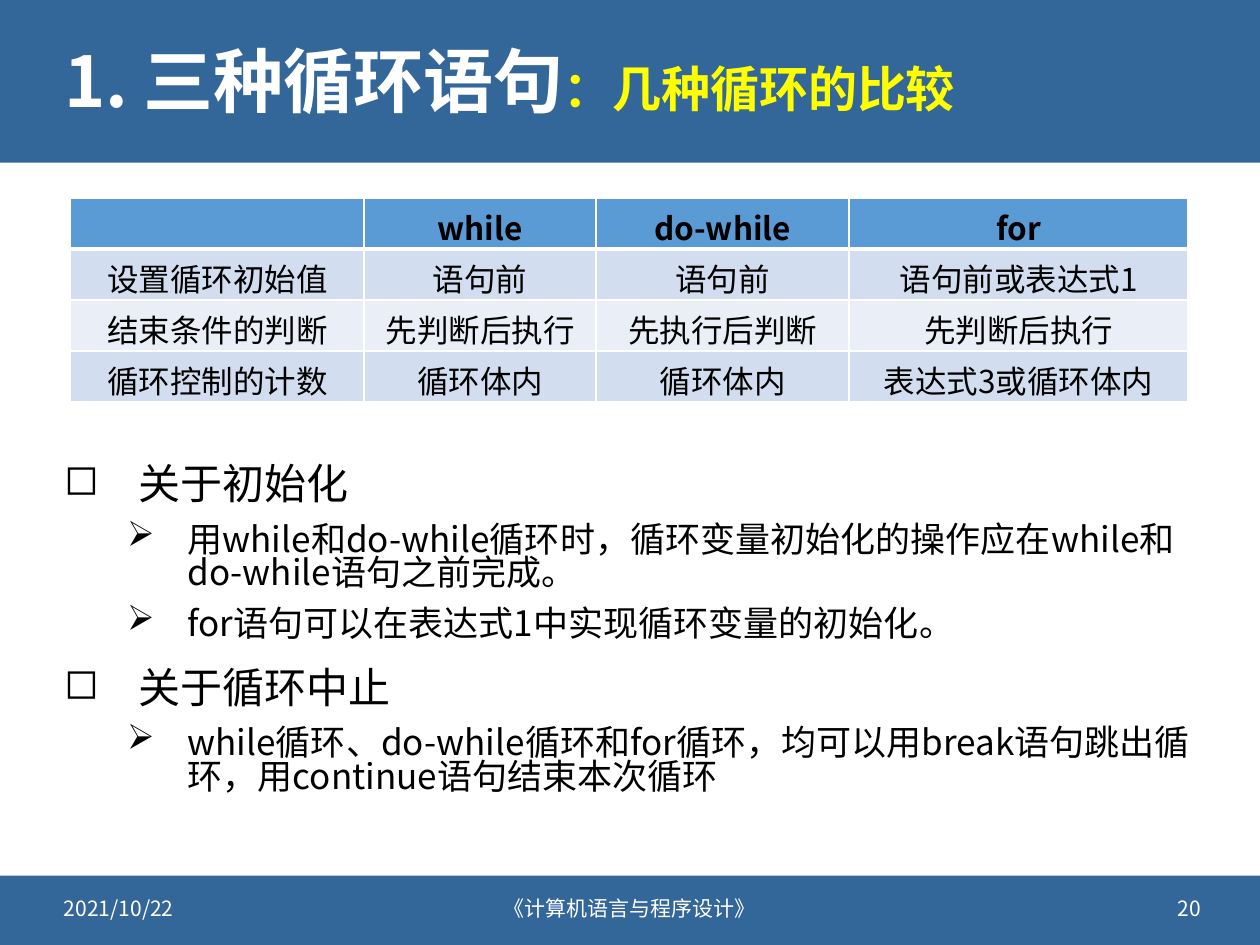
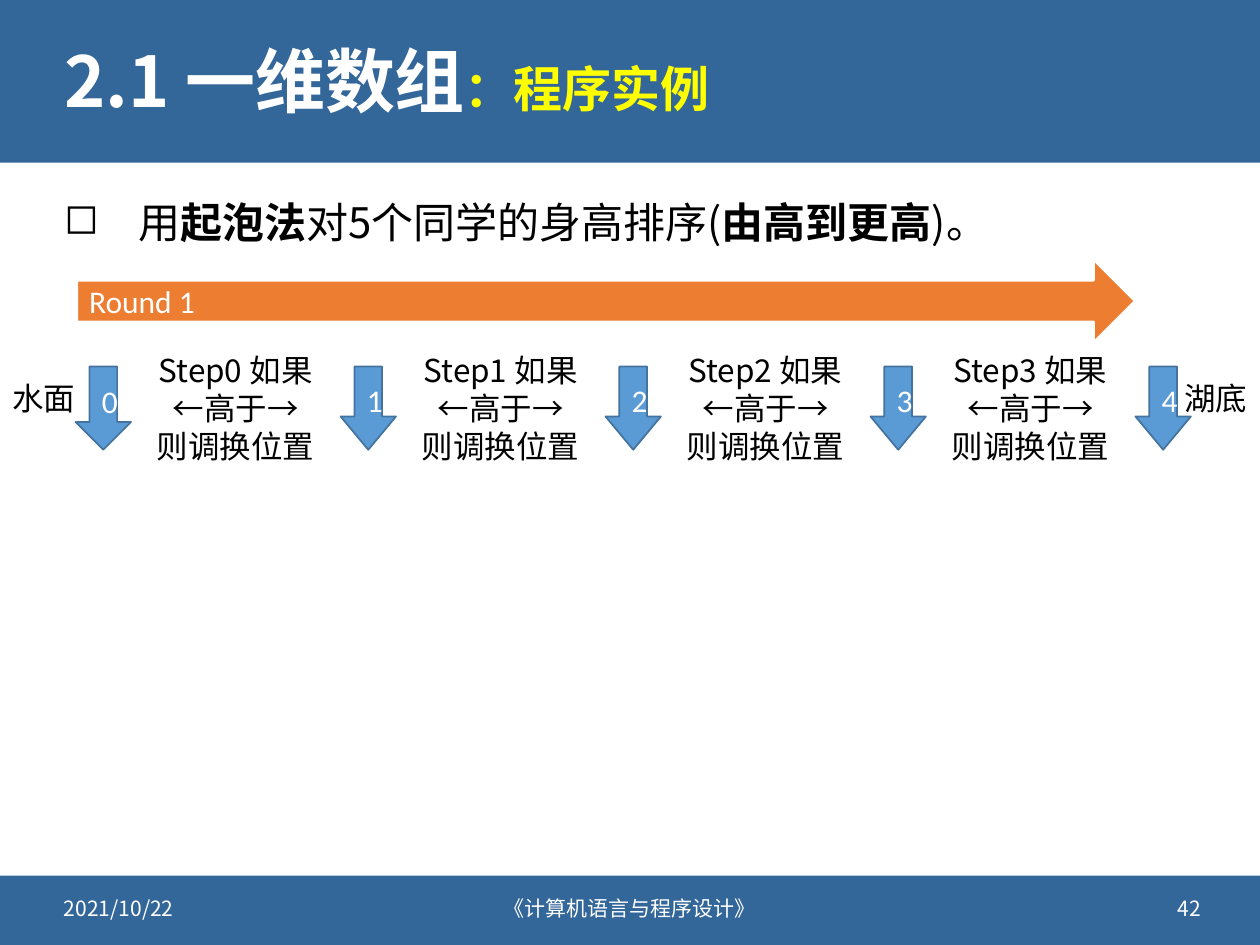
from dataclasses import dataclass

from lxml import etree
from pptx import Presentation
from pptx import util as u
from pptx.dml.color import RGBColor
from pptx.enum import shapes, text
from pptx.oxml.ns import qn

COLUMNS, ROWS = 100, 75
CENTER, RIGHT = text.PP_ALIGN.CENTER, text.PP_ALIGN.RIGHT


@dataclass(frozen=True)
class Theme:
    font: str = "Noto Sans CJK SC"
    shape_font: str = "Calibri"
    band: str = "336699"
    white: str = "FFFFFF"
    black: str = "000000"
    accent: str = "FFFF00"
    blue: str = "5B9BD5"
    blue_edge: str = "43739E"
    orange: str = "ED7D31"
    stripes: tuple = ("EAEFF7", "D2DEEF")
    title: int = 40
    subtitle: int = 28
    heading: int = 24
    detail: int = 20
    label: int = 18
    footer: int = 12


THEME = Theme()


@dataclass(frozen=True)
class Box:
    """An area measured in columns and rows of the page grid."""
    left: float
    top: float
    width: float
    height: float

    def inside(self, left, top, width, height):
        return Box(self.left + left, self.top + top, width, height)

    def emu(self):
        return [u.Inches(value / 10) for value in
                (self.left, self.top, self.width, self.height)]


PAGE = Box(0, 0, COLUMNS, ROWS)
HEADER = PAGE.inside(0, 0, COLUMNS, 12.9)
FOOTER = PAGE.inside(0, 69.5, COLUMNS, 5.5)
BODY = PAGE.inside(4.1, 14.7, 91.9, 52.8)


def assign(target, values):
    for name, value in values.items():
        setattr(target, name, value)


def add_span(para, words, size, color=THEME.black, bold=False, font=THEME.font):
    span = para.add_run()
    span.text = words
    assign(span.font, {"size": u.Pt(size), "bold": bold, "name": font})
    span.font.color.rgb = RGBColor.from_string(color)
    east_asian = etree.SubElement(span.font._element, qn("a:ea"))
    east_asian.set("typeface", font)


def add_paras(frame, count):
    """Return the first paragraph of the frame and the further ones needed."""
    return [frame.paragraphs[0]] + [frame.add_paragraph() for _ in range(count - 1)]


def add_text_box(page, box, **frame_format):
    frame = page.shapes.add_textbox(*box.emu()).text_frame
    assign(frame, {"word_wrap": True, **frame_format})
    return frame


def add_preset(page, kind, box, fill, edge=None, edge_width=1):
    shape = page.shapes.add_shape(kind, *box.emu())
    shape.shadow.inherit = False
    shape.fill.solid()
    shape.fill.fore_color.rgb = RGBColor.from_string(fill)
    if edge:
        shape.line.color.rgb = RGBColor.from_string(edge)
        shape.line.width = u.Pt(edge_width)
    else:
        shape.line.fill.background()
    return shape


def set_bullet(para, mark, indent, hanging):
    properties = para._p.get_or_add_pPr()
    properties.set("marL", str(u.Inches(indent)))
    properties.set("indent", str(-u.Inches(hanging)))
    color = etree.SubElement(properties, qn("a:buClr"))
    etree.SubElement(color, qn("a:srgbClr")).set("val", THEME.black)
    etree.SubElement(properties, qn("a:buChar")).set("char", mark)


def add_heading(para, parts, spacing=1.0):
    assign(para, {"space_before": u.Pt(10), "line_spacing": spacing})
    set_bullet(para, "◻", 0.59, 0.59)
    for words, bold in parts:
        add_span(para, words, THEME.heading, bold=bold)


def add_detail(para, words):
    assign(para, {"space_before": u.Pt(10), "line_spacing": 0.8})
    set_bullet(para, "➢", 0.98, 0.48)
    add_span(para, words, THEME.detail)


def add_header(page, box, title, subtitle):
    add_preset(page, shapes.MSO_SHAPE.RECTANGLE, box, THEME.band)
    frame = add_text_box(page, box.inside(4.1, 1.8, 91.9, 9.9),
                         vertical_anchor=text.MSO_ANCHOR.MIDDLE)
    para = frame.paragraphs[0]
    para.line_spacing = 0.9
    add_span(para, title, THEME.title, THEME.white, True)
    add_span(para, "：" + subtitle, THEME.subtitle, THEME.accent, True)


def add_footer(page, box, number):
    add_preset(page, shapes.MSO_SHAPE.RECTANGLE, box, THEME.band)
    fields = ((4.1, 24, None, "2021/10/22"),
              (32, 36, CENTER, "《计算机语言与程序设计》"),
              (72.3, 24, RIGHT, str(number)))
    for left, width, alignment, words in fields:
        frame = add_text_box(page, box.inside(left, 0.6, width, 4),
                             vertical_anchor=text.MSO_ANCHOR.MIDDLE)
        frame.paragraphs[0].alignment = alignment
        add_span(frame.paragraphs[0], words, THEME.footer, THEME.white)


def add_page(deck, title, subtitle, number):
    page = deck.slides.add_slide(deck.slide_layouts[6])
    add_header(page, HEADER, title, subtitle)
    add_footer(page, FOOTER, number)
    return page


def set_borders(cell, widths):
    properties = cell._tc.get_or_add_tcPr()
    for side, width in widths.items():
        line = etree.SubElement(properties, qn("a:ln" + side))
        line.set("w", str(u.Pt(width)))
        fill = etree.SubElement(line, qn("a:solidFill"))
        etree.SubElement(fill, qn("a:srgbClr")).set("val", THEME.white)


def add_comparison_table(page, box, records, widths):
    table = page.shapes.add_table(len(records), len(widths), *box.emu()).table
    for column, width in zip(table.columns, widths):
        column.width = u.Inches(width / 10)
    for row, record in enumerate(records):
        is_head = row == 0
        fill = THEME.blue if is_head else THEME.stripes[row % 2]
        for column, words in enumerate(record):
            cell = table.cell(row, column)
            set_borders(cell, {"L": 1, "R": 1, "T": 3 if row == 1 else 1,
                               "B": 3 if is_head else 1})
            cell.fill.solid()
            cell.fill.fore_color.rgb = RGBColor.from_string(fill)
            para = cell.text_frame.paragraphs[0]
            para.alignment = CENTER
            if words:
                add_span(para, words, THEME.label, bold=is_head)


def add_outline(page, box, topics):
    lines = [line for heading, details in topics
             for line in [(add_heading, [(heading, False)])]
             + [(add_detail, words) for words in details]]
    frame = add_text_box(page, box)
    for para, (write, content) in zip(add_paras(frame, len(lines)), lines):
        write(para, content)


def add_label(page, box, lines, alignment=None):
    frame = add_text_box(page, box, word_wrap=False,
                         auto_size=text.MSO_AUTO_SIZE.SHAPE_TO_FIT_TEXT)
    for para, words in zip(add_paras(frame, len(lines)), lines):
        para.alignment = alignment
        add_span(para, words, THEME.label)


def add_arrow(page, kind, box, words, fill, edge, edge_width, alignment=None):
    arrow = add_preset(page, kind, box, fill, edge, edge_width)
    arrow.text_frame.vertical_anchor = text.MSO_ANCHOR.MIDDLE
    para = arrow.text_frame.paragraphs[0]
    para.alignment = alignment or text.PP_ALIGN.LEFT
    add_span(para, words, THEME.label, THEME.white, font=THEME.shape_font)
    return arrow


def add_sorting_round(page, box, name, count):
    """Show one pass over the items, with a comparison in each gap."""
    pitch = 21.03
    for index in range(count):
        arrow = add_arrow(page, shapes.MSO_SHAPE.DOWN_ARROW,
                          box.inside(6 + index * pitch, 8.5, 4.4, 6.6),
                          str(index), THEME.blue, THEME.blue_edge, 1, CENTER)
        arrow.adjustments[1] = 0.6 if index else 0.5
    for index in range(count - 1):
        add_label(page, box.inside(11.3 + index * pitch, 6.8, 14.8, 10.1),
                  (f"Step{index} 如果", "←高于→", "则调换位置"), CENTER)
    add_arrow(page, shapes.MSO_SHAPE.RIGHT_ARROW, box.inside(6.1, 0, 84, 6.6),
              name, THEME.orange, THEME.white, 1.5)
    for left, words in ((0, "水面"), (93, "湖底")):
        add_label(page, box.inside(left, 9, 7.1, 4), [words])


def build_loop_comparison(deck):
    page = add_page(deck, "1. 三种循环语句", "几种循环的比较", 20)
    add_outline(page, BODY.inside(0, 21.1, BODY.width, 31.7), (
        ("关于初始化", (
            "用while和do-while循环时，循环变量初始化的操作应在while和do-while语句之前完成。",
            "for语句可以在表达式1中实现循环变量的初始化。")),
        ("关于循环中止", (
            "while循环、do-while循环和for循环，均可以用break语句跳出循环，"
            "用continue语句结束本次循环",)),
    ))
    add_comparison_table(page, BODY.inside(1.5, 1, 88.8, 16.2), (
        ("", "while", "do-while", "for"),
        ("设置循环初始值", "语句前", "语句前", "语句前或表达式1"),
        ("结束条件的判断", "先判断后执行", "先执行后判断", "先判断后执行"),
        ("循环控制的计数", "循环体内", "循环体内", "表达式3或循环体内"),
    ), (23.3, 18.4, 20.1, 26.9))


def build_bubble_sort(deck):
    page = add_page(deck, "2.1 一维数组", "程序实例", 42)
    frame = add_text_box(page, BODY.inside(0, 0, BODY.width, 6.6))
    add_heading(frame.paragraphs[0], (
        ("用", False), ("起泡法", True), ("对5个同学的身高排序(", False),
        ("由高到更高", True), (")。", False)), 1.1)
    add_sorting_round(page, PAGE.inside(0, 20.6, COLUMNS, 17), "Round 1", 5)


def main():
    deck = Presentation()
    assign(deck, {"slide_width": u.Inches(COLUMNS / 10),
                  "slide_height": u.Inches(ROWS / 10)})
    build_loop_comparison(deck)
    build_bubble_sort(deck)
    deck.save("out.pptx")


if __name__ == "__main__":
    main()
